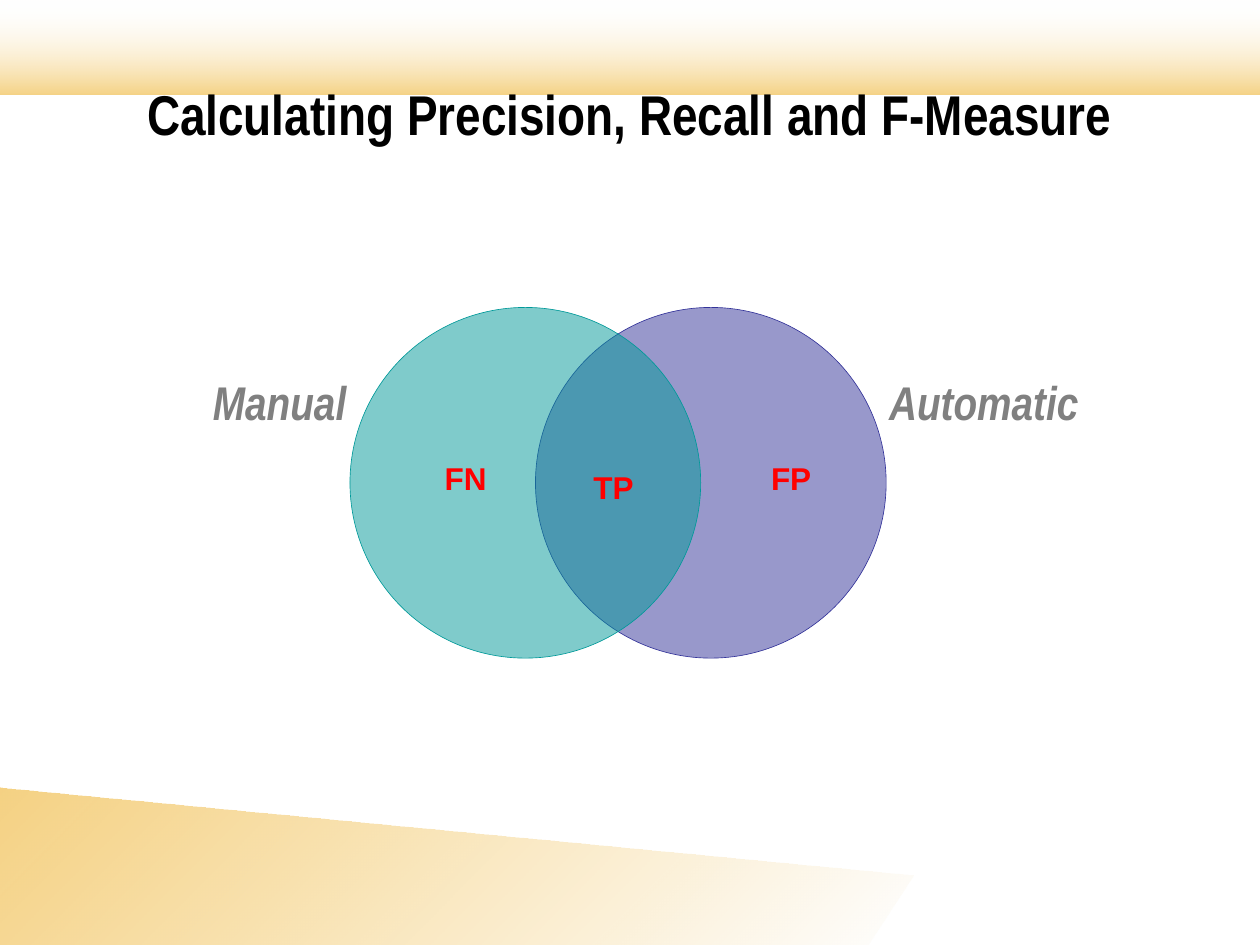
from dataclasses import dataclass

from lxml import etree
from pptx import Presentation
from pptx.dml.color import RGBColor
from pptx.enum.shapes import MSO_SHAPE
from pptx.enum.text import MSO_ANCHOR, MSO_AUTO_SIZE, PP_ALIGN
from pptx.oxml.ns import qn
from pptx.util import Pt

OVAL, RECTANGLE = MSO_SHAPE.OVAL, MSO_SHAPE.RECTANGLE
MIDDLE, TOP = MSO_ANCHOR.MIDDLE, MSO_ANCHOR.TOP
CENTER, LEFT = PP_ALIGN.CENTER, PP_ALIGN.LEFT
GROW = MSO_AUTO_SIZE.SHAPE_TO_FIT_TEXT
TITLE_ONLY = 5


@dataclass(frozen=True)
class Theme:
    """Colours, fonts and type sizes of the slide."""
    gold: str = "EBA303"
    white: str = "FFFFFF"
    black: str = "000000"
    teal: str = "009999"
    indigo: str = "333399"
    gray: str = "808080"
    red: str = "FF0000"
    narrow: str = "Arial Narrow"
    plain: str = "Arial"
    title_size: float = 32
    set_size: float = 27
    region_size: float = 18


THEME = Theme()


def points(*values):
    """Turn numbers into lengths in points."""
    return [Pt(value) for value in values]


def set_opacity(shape, *percents):
    """Give each fill colour of a shape its opacity."""
    colors = shape.element.spPr.iter(qn("a:srgbClr"))
    for color, percent in zip(list(colors), percents):
        etree.SubElement(color, qn("a:alpha"), val=str(percent * 1000))


def fade(shape, angle, *stops):
    """Fill a shape with a two-colour transparent gradient."""
    shape.shadow.inherit = False
    shape.line.fill.background()
    shape.fill.gradient()
    shape.fill.gradient_angle = angle
    for stop, (color, _) in zip(shape.fill.gradient_stops, stops):
        stop.color.rgb = RGBColor.from_string(color)
    set_opacity(shape, *(percent for _, percent in stops))


def add_backdrop(slide):
    """Draw the top band and the bottom wedge behind the title."""
    wedge_outline = slide.shapes.build_freeform(*points(0, 540))
    corners = [(0, 450), (522, 499.7), (495.4, 540)]
    wedge_outline.add_line_segments([points(*corner) for corner in corners])
    wedge = wedge_outline.convert_to_shape()
    fade(wedge, 315, (THEME.gold, 49), (THEME.white, 51))
    band = slide.shapes.add_shape(RECTANGLE, *points(0, 0, 720, 54))
    fade(band, 270, (THEME.white, 0), (THEME.gold, 49))
    for shape in (wedge, band):
        slide.shapes.title.element.addprevious(shape.element)


def write(box, text, font, size, color, align, anchor, italic=False):
    """Put one bold paragraph into a box."""
    frame = box.text_frame
    frame.text = text
    frame.vertical_anchor = anchor
    para = frame.paragraphs[0]
    para.alignment = align
    span = para.runs[0].font
    span.name, span.size, span.bold, span.italic = font, Pt(size), True, italic
    span.color.rgb = RGBColor.from_string(color)


def add_title(slide, text):
    """Place and format the title."""
    title = slide.shapes.title
    title.left, title.top, title.width, title.height = points(36, 23.8, 648, 81.4)
    write(title, text, THEME.narrow, THEME.title_size, THEME.black, CENTER, MIDDLE)


def add_circle(slide, left, color):
    """Draw one half-transparent circle of the diagram."""
    circle = slide.shapes.add_shape(OVAL, *points(left, 175.7, 200.4, 200.4))
    circle.shadow.inherit = False
    circle.fill.solid()
    circle.fill.fore_color.rgb = RGBColor.from_string(color)
    set_opacity(circle, 50)
    circle.line.color.rgb = RGBColor.from_string(color)
    circle.line.width = Pt(0.37)


def add_set_label(slide, left, text):
    """Name a circle beside it."""
    box = slide.shapes.add_textbox(*points(left, 204.5, 200.4, 49.7))
    frame = box.text_frame
    frame.word_wrap = False
    frame.margin_left, frame.margin_right = points(10.8, 10.8)
    frame.margin_top, frame.margin_bottom = points(5.6, 5.6)
    write(box, text, THEME.narrow, THEME.set_size, THEME.gray, CENTER, MIDDLE, True)


def add_region_label(slide, left, top, text):
    """Name one region of the diagram."""
    box = slide.shapes.add_textbox(*points(left, top, 51, 29))
    box.text_frame.word_wrap = True
    box.text_frame.auto_size = GROW
    write(box, text, THEME.plain, THEME.region_size, THEME.red, LEFT, TOP)


def main():
    """Build the slide and save it."""
    deck = Presentation()
    deck.slide_width, deck.slide_height = points(720, 540)
    slide = deck.slides.add_slide(deck.slide_layouts[TITLE_ONLY])
    add_backdrop(slide)
    add_title(slide, "Calculating Precision, Recall and F-Measure")
    circles = [
        (306, THEME.indigo, 462, "Automatic"),
        (200, THEME.teal, 59.6, "Manual"),
    ]
    for left, color, label_left, label in circles:
        add_circle(slide, left, color)
        add_set_label(slide, label_left, label)
    for left, top, label in [(332, 264, "TP"), (247, 258.5, "FN"), (433.5, 258.5, "FP")]:
        add_region_label(slide, left, top, label)
    deck.save("out.pptx")


if __name__ == "__main__":
    main()
